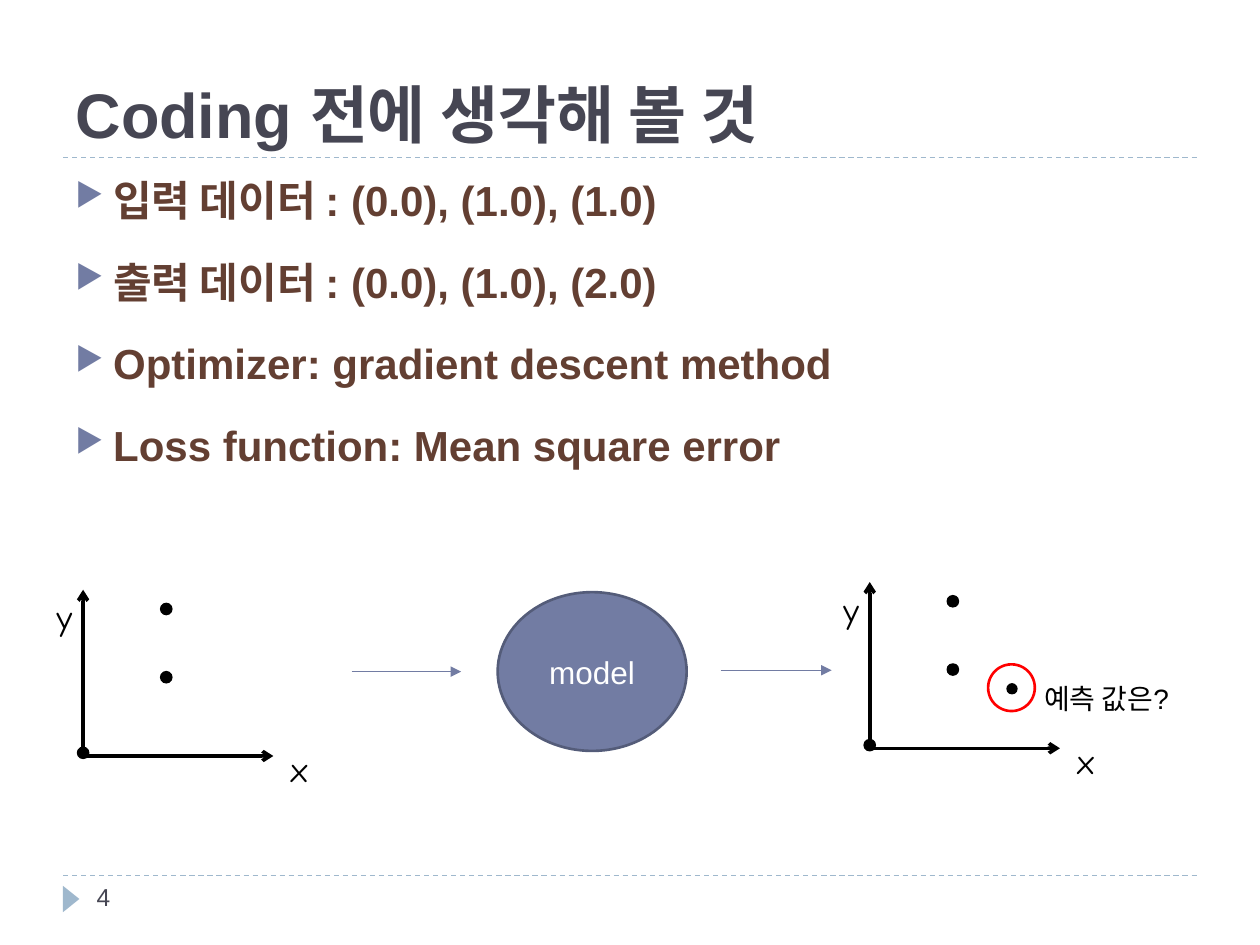
import pptx
import pptx.util
import pptx.dml.color
import pptx.enum.dml
import pptx.enum.shapes
import pptx.enum.text
import pptx.oxml
import pptx.oxml.ns
from lxml import etree

Pt = pptx.util.Pt
SHAPE = pptx.enum.shapes.MSO_SHAPE
ALIGN = pptx.enum.text.PP_ALIGN
ANCHOR = pptx.enum.text.MSO_ANCHOR

BLACK, WHITE, RED = "000000", "FFFFFF", "FF0000"
SLATE, BROWN, BLUE, PALE = "464653", "633F32", "727CA3", "9FB8CD"

POINTS = [
    "입력 데이터 : (0.0), (1.0), (1.0)",
    "출력 데이터 : (0.0), (1.0), (2.0)",
    "Optimizer: gradient descent method",
    "Loss function: Mean square error",
]


def tint(form, hue):
    form.rgb = pptx.dml.color.RGBColor.from_string(hue)


def add_tag(root, name, **attrs):
    return etree.SubElement(root, pptx.oxml.ns.qn("a:" + name), attrs)


def style(frame, size, hue, bold=False, font="Arial", align=ALIGN.LEFT):
    for para in frame.paragraphs:
        para.alignment = align
        for run in para.runs:
            run.font.name = font
            run.font.size = Pt(size)
            run.font.bold = bold
            tint(run.font.color, hue)


def add_text(slide, text, box, size, hue, wrap=True, **looks):
    frame = slide.shapes.add_textbox(*map(Pt, box)).text_frame
    frame.word_wrap = wrap
    frame.text = text
    style(frame, size, hue, **looks)
    return frame


def add_line(slide, start, end, hue, width, head=None, dash=False):
    line = slide.shapes.add_connector(
        pptx.enum.shapes.MSO_CONNECTOR.STRAIGHT, *map(Pt, start + end))
    tint(line.line.color, hue)
    line.line.width = Pt(width)
    if dash:
        line.line.dash_style = pptx.enum.dml.MSO_LINE.DASH
    if head:
        add_tag(line.line._get_or_add_ln(), "tailEnd", type=head)
    add_tag(line._element.spPr, "effectLst")


def add_form(slide, kind, box, fill=None, edge=None, width=0.75):
    form = slide.shapes.add_shape(kind, *map(Pt, box))
    form.shadow.inherit = False
    if fill:
        form.fill.solid()
        tint(form.fill.fore_color, fill)
    else:
        form.fill.background()
    if edge:
        tint(form.line.color, edge)
        form.line.width = Pt(width)
    else:
        form.line.fill.background()
    return form


def add_dot(slide, x, y, size=6.5, **looks):
    """Draw a circle by its centre."""
    box = (x - size / 2, y - size / 2, size, size)
    add_form(slide, SHAPE.OVAL, box, **looks)


def add_title(slide, text):
    title = slide.shapes.title
    title.left, title.top, title.width, title.height = map(Pt, (36, 12.25, 648, 77.75))
    frame = title.text_frame
    frame.text = text
    frame.auto_size = pptx.enum.text.MSO_AUTO_SIZE.NONE
    frame.vertical_anchor = ANCHOR.BOTTOM
    style(frame, 36, SLATE, bold=True)


def add_list(slide, items):
    frame = add_text(slide, "\n".join(items), (36, 96, 648, 388.8), 24, BROWN, bold=True)
    for i, para in enumerate(frame.paragraphs):
        props = para._p.get_or_add_pPr()
        props.set("marL", str(Pt(21.6)))
        props.set("indent", str(-Pt(21.6)))
        add_tag(add_tag(props, "buClr"), "srgbClr", val=BLUE)
        add_tag(props, "buSzPct", val="76000")
        add_tag(props, "buChar", char="▶")
        para.space_before = Pt(18 if i else 0)


def add_plot(slide, x, y):
    """Draw axes, axis names and data dots around the origin."""
    for dx, dy in [(0, -1.8), (47.5, -84), (47.5, -45)]:
        add_dot(slide, x + dx, y + dy, fill=BLACK, edge=BLACK)
    for dx, dy in [(108.7, 0), (0, -95)]:
        add_line(slide, (x, y), (x + dx, y + dy), BLACK, 2, "arrow")
    for name, dx, dy in [("x", 111.6, -8.6), ("y", -22.2, -95)]:
        frame = add_text(slide, name, (x + dx, y + dy, 14.4, 17.3), 20, BLACK,
                         font="Comic Neue")
        frame.margin_right = 0


def main():
    deck = pptx.Presentation()
    deck.slide_width, deck.slide_height = Pt(720), Pt(540)
    slide = deck.slides.add_slide(deck.slide_layouts[5])

    # Rules and page number
    for y in (500.4, 90):
        add_line(slide, (36, y), (684, y), PALE, 0.75, dash=True)
    mark = add_form(slide, SHAPE.ISOSCELES_TRIANGLE, (33.1, 509, 15.1, 9.4), PALE)
    mark.rotation = 90
    add_text(slide, "4", (48.2, 500.4, 156.2, 28.8), 14, SLATE)

    # Title and list
    add_title(slide, "Coding 전에 생각해 볼 것")
    add_list(slide, POINTS)

    # Input plot, model, output plot
    add_plot(slide, 47.5, 432)
    add_line(slide, (200.9, 383.8), (263.5, 383.8), BLUE, 0.75, "triangle")
    model = add_form(slide, SHAPE.OVAL, (284.4, 338.4, 108, 90.7), BLUE, "545C79", 1.5)
    model.text_frame.text = "model"
    model.text_frame.vertical_anchor = ANCHOR.MIDDLE
    style(model.text_frame, 18, WHITE, align=ALIGN.CENTER)
    add_line(slide, (411.8, 383), (475.2, 383), BLUE, 0.75, "triangle")
    add_plot(slide, 497, 427.6)

    # Value to predict
    add_dot(slide, 578.3, 393.6, fill=BLACK)
    add_text(slide, "예측 값은?", (589.7, 385.9, 92.2, 26.6), 16, BLACK, wrap=False)
    add_dot(slide, 578, 393, size=26.7, edge=RED, width=1.5)

    deck.save("out.pptx")


if __name__ == "__main__":
    main()
